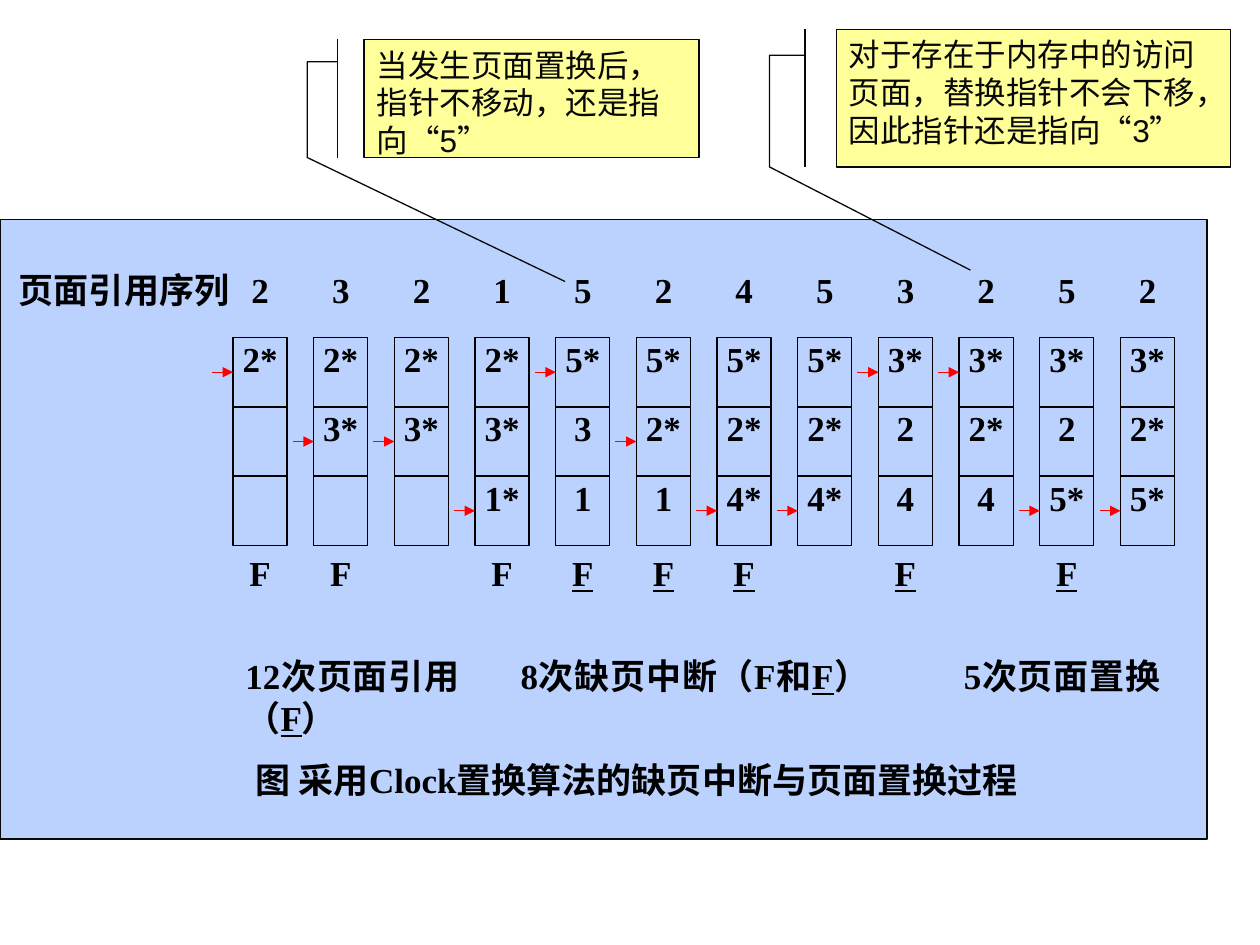
import lxml.etree
import pptx
import pptx.dml.color
import pptx.enum.shapes
import pptx.enum.text
import pptx.oxml.ns
import pptx.util

Pt = pptx.util.Pt
Shape = pptx.enum.shapes.MSO_SHAPE
Align = pptx.enum.text.PP_ALIGN

REFERENCES = "2 3 2 1 5 2 4 5 3 2 5 2".split()
FRAMES = [
    ("2*", "", ""), ("2*", "3*", ""), ("2*", "3*", ""), ("2*", "3*", "1*"),
    ("5*", "3", "1"), ("5*", "2*", "1"), ("5*", "2*", "4*"), ("5*", "2*", "4*"),
    ("3*", "2", "4"), ("3*", "2*", "4"), ("3*", "2", "5*"), ("3*", "2*", "5*"),
]
POINTER_ROWS = [0, 1, 1, 2, 0, 1, 2, 2, 0, 0, 2, 2]
FAULTS = ["F", "F", "", "F", "_F_", "_F_", "_F_", "", "_F_", "", "_F_", ""]
COLUMN_PITCH, CELL_WIDTH, CELL_HEIGHT = 46.1, 30.9, 39.6
ARROW_LENGTH = 12


def color(value):
    return pptx.dml.color.RGBColor.from_string(value)


def add_child(parent, tag, **attributes):
    return lxml.etree.SubElement(parent, pptx.oxml.ns.qn(tag), attributes)


def write_text(shape, text, size=20, font="Times New Roman", ink="000000", bold=True,
               align=Align.LEFT, inset=(0, 0), tabs=(), tab_align="ctr"):
    """Fill a shape with one paragraph; text between underscores is underlined."""
    frame = shape.text_frame
    frame.word_wrap = True
    frame.vertical_anchor = pptx.enum.text.MSO_ANCHOR.TOP
    frame.margin_left = frame.margin_right = Pt(inset[0])
    frame.margin_top = frame.margin_bottom = Pt(inset[1])
    paragraph = frame.paragraphs[0]
    paragraph.alignment = align
    if tabs:
        tab_list = add_child(paragraph._p.get_or_add_pPr(), "a:tabLst")
        for position in tabs:
            add_child(tab_list, "a:tab", pos=str(int(Pt(position))), algn=tab_align)
    for index, part in enumerate(text.split("_")):
        if part:
            run = paragraph.add_run()
            run.text = part
            run.font.size = Pt(size)
            run.font.name = font
            run.font.bold = bold
            run.font.underline = index % 2 == 1
            run.font.color.rgb = color(ink)


def add_box(slide, left, top, width, height, kind=Shape.RECTANGLE, fill=None, line="000000"):
    shape = slide.shapes.add_shape(kind, Pt(left), Pt(top), Pt(width), Pt(height))
    shape.shadow.inherit = False
    if fill:
        shape.fill.solid()
        shape.fill.fore_color.rgb = color(fill)
    else:
        shape.fill.background()
    shape.line.color.rgb = color(line)
    shape.line.width = Pt(0.75)
    return shape


def add_label(slide, left, top, width, height, text, **text_format):
    label = slide.shapes.add_textbox(Pt(left), Pt(top), Pt(width), Pt(height))
    write_text(label, text, **text_format)


def add_pointer(slide, cell):
    """Draw the red arrow that ends at the middle of a cell's left side."""
    middle = cell.top + cell.height // 2
    arrow = slide.shapes.add_connector(
        pptx.enum.shapes.MSO_CONNECTOR.STRAIGHT,
        cell.left - Pt(ARROW_LENGTH), middle, cell.left, middle)
    arrow.end_connect(cell, 1)
    arrow.line.color.rgb = color("FF0000")
    arrow.line.width = Pt(0.75)
    add_child(arrow.line._get_or_add_ln(), "a:tailEnd", type="triangle")
    add_child(arrow._element.spPr, "a:effectLst")


def add_frame_column(slide, left, top, pages, pointer_row):
    for row, page in enumerate(pages):
        cell = add_box(slide, left, top + row * CELL_HEIGHT, CELL_WIDTH, CELL_HEIGHT)
        if page:
            write_text(cell, page, align=Align.CENTER)
        if row == pointer_row:
            add_pointer(slide, cell)


def add_clock_panel(slide, left, top, width, height):
    add_box(slide, left, top, width, height, fill="BBD2FF", line="080808")
    frames_left, frames_top = left + 133.2, top + 67.6
    label_left = left + 10.8
    below = frames_top + 3 * CELL_HEIGHT
    text_width = 537
    centers = [i * COLUMN_PITCH + CELL_WIDTH / 2 for i in range(len(FRAMES))]

    for index, (pages, pointer_row) in enumerate(zip(FRAMES, POINTER_ROWS)):
        add_frame_column(slide, frames_left + index * COLUMN_PITCH, frames_top,
                         pages, pointer_row)
    add_label(slide, label_left, top + 28, 660, CELL_HEIGHT,
              "\t".join(["页面引用序列"] + REFERENCES),
              tabs=[frames_left - label_left + center for center in centers])
    add_label(slide, frames_left, below, text_width + 20, 59,
              "\t" + "\t".join(FAULTS).rstrip(), inset=(0, 3.6), tabs=centers)
    add_label(slide, frames_left, below + 59, text_width, 59,
              "12次页面引用\t8次缺页中断（F和_F_）\t5次页面置换（_F_）",
              align=Align.JUSTIFY, inset=(7.2, 3.6), tabs=(154, 402), tab_align="l")
    add_label(slide, left + 56.9, below + 118, 614, 59,
              "图 采用Clock置换算法的缺页中断与页面置换过程",
              align=Align.CENTER, inset=(7.2, 3.6))


def add_callout(slide, left, top, width, height, text, target):
    """Add a note whose leader ends at target, given as (y, x) shares of its box."""
    callout = add_box(slide, left, top, width, height,
                      Shape.LINE_CALLOUT_3_BORDER_AND_ACCENT_BAR, "FFFF99", "080808")
    leader = (0.19, -0.08, 0.19, -0.17, 1, -0.17) + target
    for index, value in enumerate(leader):
        callout.adjustments[index] = value
    write_text(callout, text, size=18, font="Arial", ink="080808", bold=False,
               inset=(7.2, 3.6))


def main():
    presentation = pptx.Presentation()
    presentation.slide_width, presentation.slide_height = Pt(720), Pt(540)
    slide = presentation.slides.add_slide(presentation.slide_layouts[6])
    add_clock_panel(slide, 0, 125.3, 689.8, 354.2)
    add_callout(slide, 478, 16.7, 225.3, 78.7,
                "对于存在于内存中的访问页面，替换指针不会下移，因此指针还是指向“3”", (1.75, 0.34))
    add_callout(slide, 208.1, 22.5, 191.4, 67.5,
                "当发生页面置换后，指针不移动，还是指向“5”", (2.05, 0.6))
    presentation.save("out.pptx")


if __name__ == "__main__":
    main()
